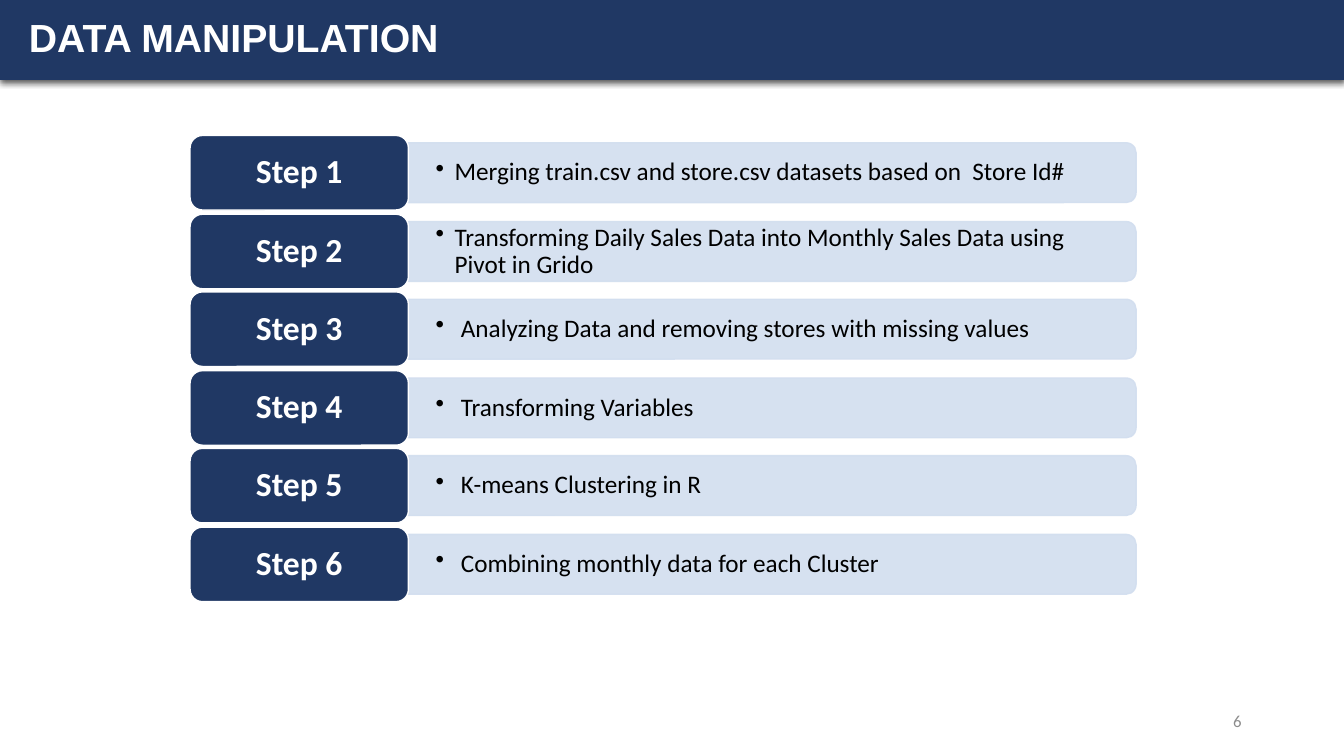
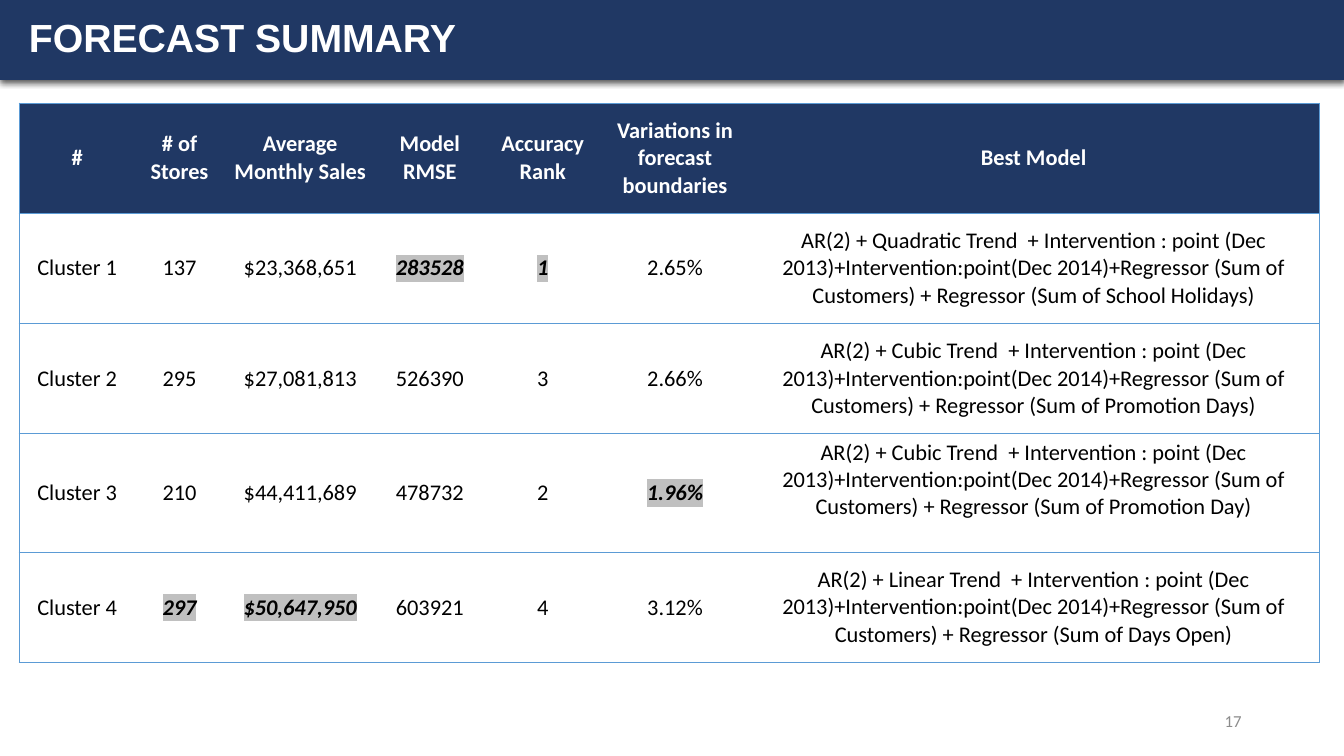
from dataclasses import dataclass

from lxml.etree import SubElement
from pptx import Presentation
from pptx.dml.color import RGBColor
from pptx.enum.shapes import MSO_SHAPE as Preset
from pptx.enum.text import MSO_ANCHOR as Anchor, PP_ALIGN as Align
from pptx.oxml.ns import qn
from pptx.shapes.autoshape import Shape
from pptx.slide import Slide, SlideLayout
from pptx.table import _Cell as Cell
from pptx.text.text import TextFrame
from pptx.util import Pt

EMU_PER_PX = 9525


@dataclass(frozen=True)
class Theme:
    navy: str = "203864"
    pale: str = "D2DEEF"
    white: str = "FFFFFF"
    black: str = "000000"
    grey: str = "8C8C8C"
    rule: str = "5B9BD5"
    highlight: str = "C0C0C0"
    heading_font: str = "Arial"
    body_font: str = "Calibri"
    title_size: int = 28
    step_size: int = 24
    detail_size: int = 18
    table_size: int = 16
    page_size: int = 12


@dataclass(frozen=True)
class Box:
    left: int
    top: int
    width: int
    height: int

    def emu(self) -> tuple[int, int, int, int]:
        return px(self.left), px(self.top), px(self.width), px(self.height)


@dataclass(frozen=True)
class Step:
    detail: str
    indent: int = 24


@dataclass(frozen=True)
class Cluster:
    stores: str
    sales: str
    rmse: str
    rank: str
    variation: str
    trend: str
    regressor: str
    best_columns: tuple[int, ...] = ()
    height: int = 105
    bottom_margin: int = 5

    def texts(self, number: int) -> list[str]:
        model = (
            f"AR(2) + {self.trend} Trend  + Intervention : point (Dec 2013)"
            "+Intervention:point(Dec 2014)+Regressor (Sum of Customers)"
            f" + Regressor (Sum of {self.regressor})"
        )
        return [f"Cluster {number}", self.stores, self.sales, self.rmse,
                self.rank, self.variation, model]


THEME = Theme()
SLIDE = Box(0, 0, 1280, 720)
BAND = Box(0, 0, 1280, 76)
TITLE = Box(18, 0, 1086, 76)
PAGE_NUMBER = Box(904, 667, 288, 38)
FIRST_STEP = Box(181, 129, 208, 71)
LAST_STEP_TOP = 502
BAR_WIDTH, BAR_HEIGHT = 693, 57
TABLE_LEFT, TABLE_TOP = 18, 98
HEADER_HEIGHT = 105
COLUMN_WIDTHS = (111, 84, 146, 101, 114, 138, 545)
HEADERS = ("#", "# of Stores", "Average Monthly Sales", "Model RMSE",
           "Accuracy\nRank", "Variations in forecast boundaries", "Best Model")
STEPS = (
    Step("Merging train.csv and store.csv datasets based on  Store Id#", 18),
    Step("Transforming Daily Sales Data into Monthly Sales Data using Pivot in Grido", 18),
    Step("Analyzing Data and removing stores with missing values"),
    Step("Transforming Variables"),
    Step("K-means Clustering in R"),
    Step("Combining monthly data for each Cluster"),
)
CLUSTERS = (
    Cluster("137", "$23,368,651", "283528", "1", "2.65%", "Quadratic",
            "School Holidays", (3, 4)),
    Cluster("295", "$27,081,813", "526390", "3", "2.66%", "Cubic", "Promotion Days"),
    Cluster("210", "$44,411,689", "478732", "2", "1.96%", "Cubic", "Promotion Day",
            (5,), 113, 31),
    Cluster("297", "$50,647,950", "603921", "4", "3.12%", "Linear", "Days Open", (1, 2)),
)


def px(length: float) -> int:
    return round(length * EMU_PER_PX)


def write_text(frame: TextFrame, text: str, *, size: int, color: str,
               font: str = THEME.body_font, bold: bool = False, italic: bool = False,
               align: Align = Align.LEFT, spacing: float = 1.0,
               highlight: str = "", bullet_indent: int = 0) -> None:
    for index, line in enumerate(text.split("\n")):
        para = frame.add_paragraph() if index else frame.paragraphs[0]
        para.alignment = align
        para.line_spacing = spacing
        if bullet_indent:
            properties = para._p.get_or_add_pPr()
            properties.set("marL", str(px(bullet_indent)))
            properties.set("indent", str(-px(bullet_indent)))
            SubElement(properties, qn("a:buChar"), char="•")
        span = para.add_run()
        span.text = line
        span.font.size = Pt(size)
        span.font.bold = bold
        span.font.italic = italic
        span.font.color.rgb = RGBColor.from_string(color)
        if highlight:
            marker = SubElement(span._r.get_or_add_rPr(), qn("a:highlight"))
            SubElement(marker, qn("a:srgbClr"), val=highlight)
        span.font.name = font


def add_box(slide: Slide, preset: Preset, box: Box, fill: str, line: str = "",
            opacity: int = 100) -> Shape:
    shape = slide.shapes.add_shape(preset, *box.emu())
    shape.shadow.inherit = False
    shape.fill.solid()
    shape.fill.fore_color.rgb = RGBColor.from_string(fill)
    if line:
        shape.line.color.rgb = RGBColor.from_string(line)
        shape.line.width = Pt(1)
    else:
        shape.line.fill.background()
    if opacity < 100:
        for color in shape._element.spPr.findall(".//" + qn("a:srgbClr")):
            SubElement(color, qn("a:alpha"), val=str(opacity * 1000))
    return shape


def add_text_box(slide: Slide, box: Box) -> TextFrame:
    frame = slide.shapes.add_textbox(*box.emu()).text_frame
    frame.word_wrap = True
    frame.vertical_anchor = Anchor.MIDDLE
    return frame


def move_band_to_master(slide: Slide) -> None:
    band = add_box(slide, Preset.RECTANGLE, BAND, THEME.navy)
    effects = band._element.spPr.find(qn("a:effectLst"))
    shadow = SubElement(effects, qn("a:outerShdw"), blurRad=str(Pt(4.5)),
                        dist=str(Pt(1.5)), dir="5400000", algn="t", rotWithShape="0")
    color = SubElement(shadow, qn("a:srgbClr"), val=THEME.black)
    SubElement(color, qn("a:alpha"), val="63000")
    slide.slide_layout.slide_master.shapes._spTree.insert(2, band._element)


def place_title(layout: SlideLayout) -> None:
    title = layout.placeholders[0]
    title.left, title.top, title.width, title.height = TITLE.emu()


def add_page(deck: Presentation, layout: SlideLayout, title: str, number: int) -> Slide:
    slide = deck.slides.add_slide(layout)
    frame = slide.shapes.title.text_frame
    frame.vertical_anchor = Anchor.MIDDLE
    write_text(frame, title, size=THEME.title_size, color=THEME.white,
               font=THEME.heading_font, bold=True, spacing=0.9)
    write_text(add_text_box(slide, PAGE_NUMBER), str(number), size=THEME.page_size,
               color=THEME.grey, align=Align.RIGHT)
    return slide


def add_step(slide: Slide, index: int, step: Step) -> None:
    pitch = (LAST_STEP_TOP - FIRST_STEP.top) / (len(STEPS) - 1)
    top = round(FIRST_STEP.top + index * pitch)
    bar_left = FIRST_STEP.left + FIRST_STEP.width
    bar_top = top + (FIRST_STEP.height - BAR_HEIGHT) // 2
    turn = (BAR_WIDTH - BAR_HEIGHT) // 2
    upright = Box(bar_left + turn, bar_top - turn, BAR_HEIGHT, BAR_WIDTH)
    bar = add_box(slide, Preset.ROUND_2_SAME_RECTANGLE, upright, THEME.pale, THEME.pale, 90)
    bar.rotation = 90

    detail = add_text_box(slide, Box(bar_left, bar_top, BAR_WIDTH - 3, BAR_HEIGHT))
    detail.margin_left = detail.margin_right = px(26)
    detail.margin_top = detail.margin_bottom = 0
    write_text(detail, step.detail, size=THEME.detail_size, color=THEME.black,
               spacing=0.9, bullet_indent=step.indent)

    label_box = Box(FIRST_STEP.left, top, FIRST_STEP.width, FIRST_STEP.height)
    label = add_box(slide, Preset.ROUNDED_RECTANGLE, label_box, THEME.navy, THEME.white)
    label.text_frame.vertical_anchor = Anchor.MIDDLE
    write_text(label.text_frame, f"Step {index + 1}", size=THEME.step_size,
               color=THEME.white, bold=True, align=Align.CENTER, spacing=0.9)


def set_borders(cell: Cell, column: int) -> None:
    sides = {"lnL": column == 0, "lnR": column == len(COLUMN_WIDTHS) - 1,
             "lnT": True, "lnB": True}
    properties = cell._tc.get_or_add_tcPr()
    for side, visible in sides.items():
        border = SubElement(properties, qn(f"a:{side}"), w=str(Pt(0.5)))
        if visible:
            SubElement(SubElement(border, qn("a:solidFill")), qn("a:srgbClr"), val=THEME.rule)
        else:
            SubElement(border, qn("a:noFill"))


def fill_cell(cell: Cell, column: int, text: str, header: bool, best: bool) -> None:
    cell.vertical_anchor = Anchor.MIDDLE
    set_borders(cell, column)
    if header:
        cell.fill.solid()
        cell.fill.fore_color.rgb = RGBColor.from_string(THEME.navy)
    else:
        cell.fill.background()
    write_text(cell.text_frame, text, size=THEME.table_size,
               color=THEME.white if header else THEME.black, bold=header or best,
               italic=best, align=Align.CENTER,
               highlight=THEME.highlight if best else "")


def add_forecast_table(slide: Slide) -> None:
    heights = (HEADER_HEIGHT, *(cluster.height for cluster in CLUSTERS))
    box = Box(TABLE_LEFT, TABLE_TOP, sum(COLUMN_WIDTHS), sum(heights))
    table = slide.shapes.add_table(len(heights), len(COLUMN_WIDTHS), *box.emu()).table
    table.horz_banding = False
    for column, width in zip(table.columns, COLUMN_WIDTHS):
        column.width = px(width)
    for row, height in zip(table.rows, heights):
        row.height = px(height)
    for column, text in enumerate(HEADERS):
        fill_cell(table.cell(0, column), column, text, True, False)
    for number, cluster in enumerate(CLUSTERS, 1):
        for column, text in enumerate(cluster.texts(number)):
            fill_cell(table.cell(number, column), column, text, False,
                      column in cluster.best_columns)
        table.cell(number, len(HEADERS) - 1).margin_bottom = px(cluster.bottom_margin)


def main() -> None:
    deck = Presentation()
    deck.slide_width, deck.slide_height = px(SLIDE.width), px(SLIDE.height)
    layout = deck.slide_layouts.get_by_name("Title Only")
    place_title(layout)

    manipulation = add_page(deck, layout, "DATA MANIPULATION", 6)
    move_band_to_master(manipulation)
    for index, step in enumerate(STEPS):
        add_step(manipulation, index, step)

    add_forecast_table(add_page(deck, layout, "FORECAST SUMMARY", 17))
    deck.save("out.pptx")


if __name__ == "__main__":
    main()
